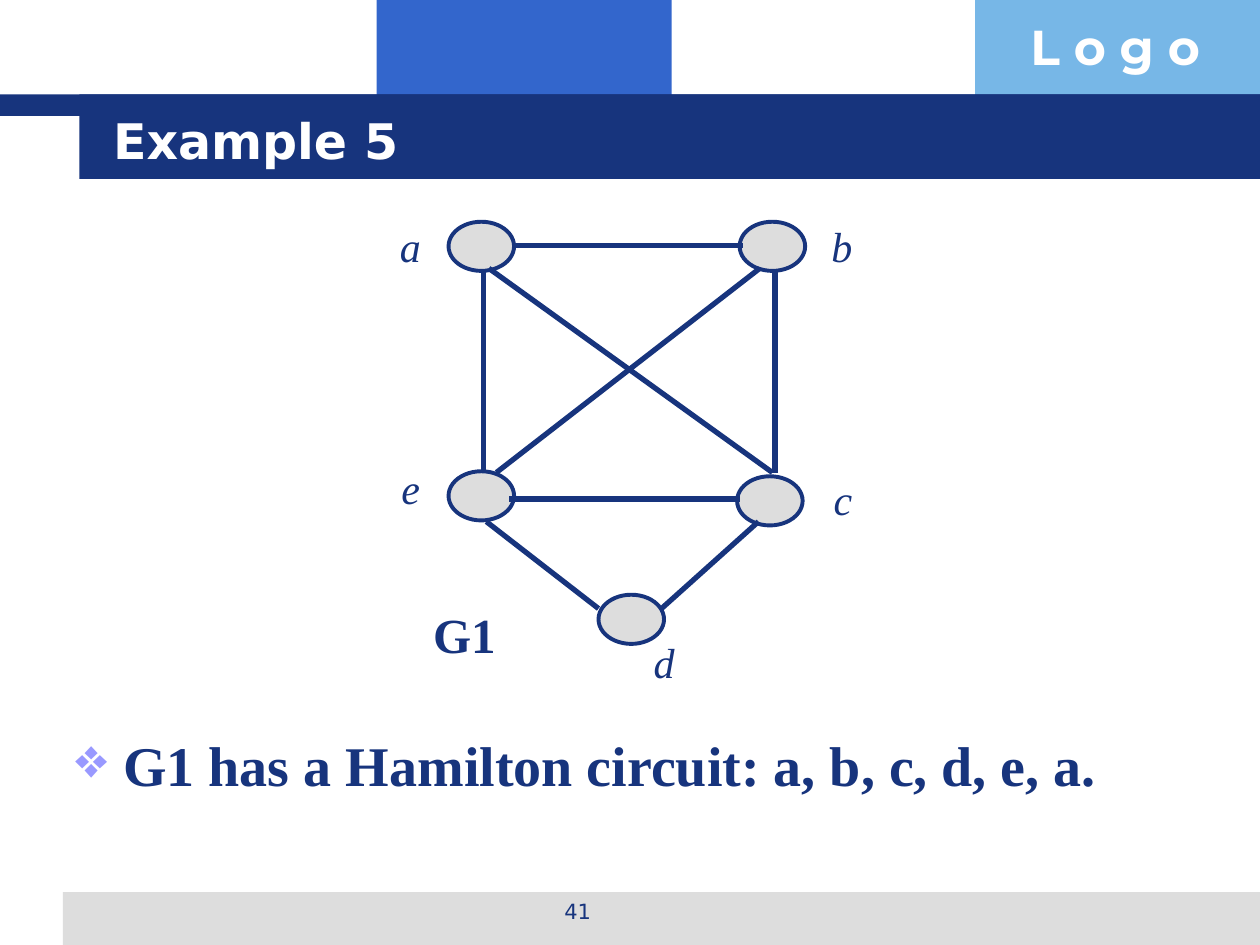
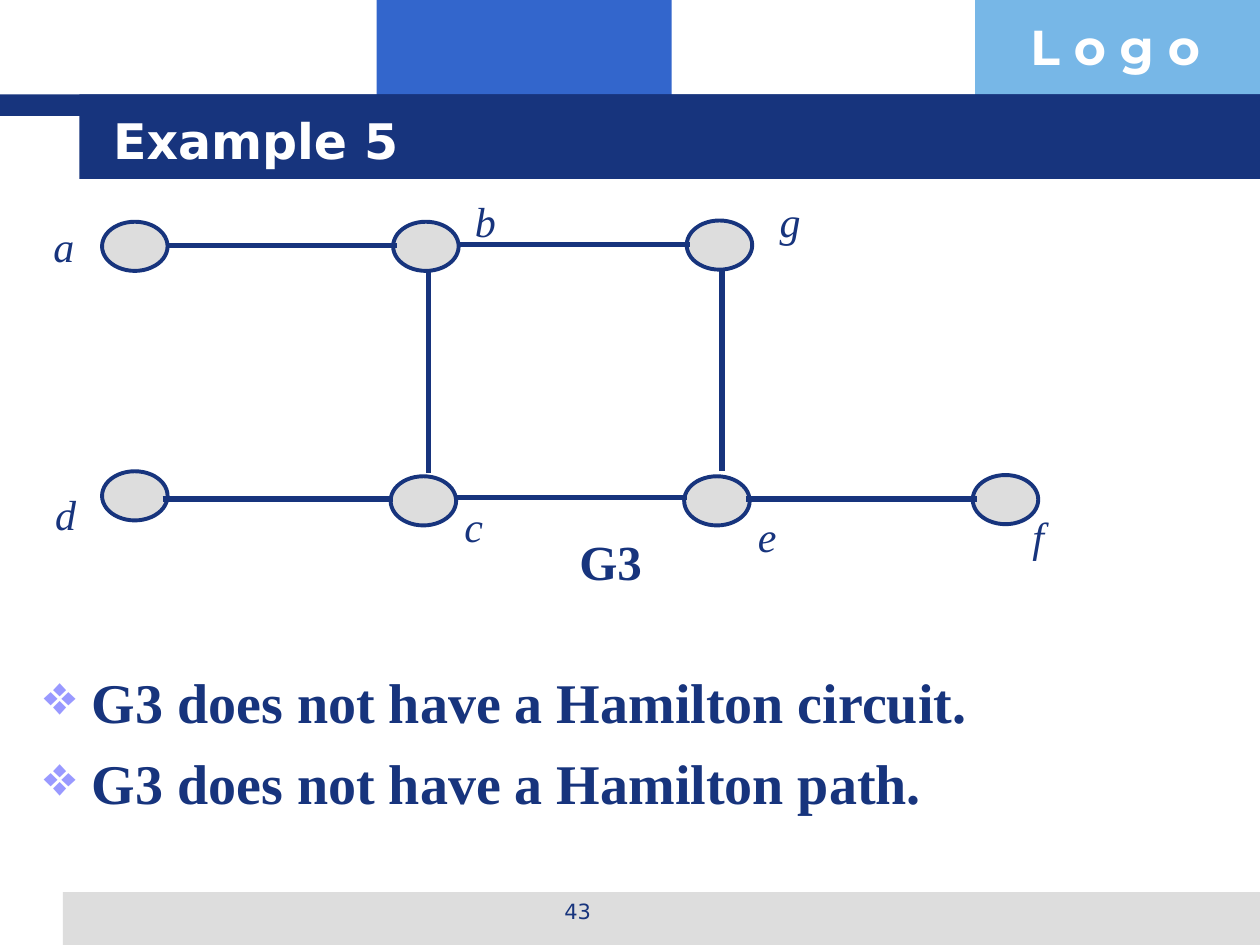
from lxml.etree import SubElement
from pptx import Presentation
from pptx.dml.color import RGBColor
from pptx.enum.shapes import MSO_CONNECTOR, MSO_SHAPE
from pptx.enum.text import MSO_ANCHOR, PP_ALIGN
from pptx.oxml.ns import qn
from pptx.util import Inches, Pt

# Grid: 100 columns by 75 rows, lengths below are counted in cells
COLS, ROWS = 100, 75
WIDTH, HEIGHT = Inches(10), Inches(7.5)

NAVY = RGBColor(0x17, 0x34, 0x7D)
BLUE = RGBColor(0x33, 0x66, 0xCC)
SKY = RGBColor(0x77, 0xB7, 0xE7)
GREY = RGBColor(0xDD, 0xDD, 0xDD)
LILAC = RGBColor(0x99, 0x99, 0xFF)
WHITE = RGBColor(0xFF, 0xFF, 0xFF)

SANS, SERIF, LOGO_FONT = "DejaVu Sans", "Times New Roman", "Montserrat"

NODE_W, NODE_H = 5.2, 3.9
LABEL_W, LABEL_H = 3.6, 5
ACROSS, DOWN = 18.3, 16  # lengths of horizontal and vertical edges

# Rectangles behind every slide: left, top, width, height, colour
BANDS = [
    (29.9, 0, 23.4, 9.2, BLUE),
    (77.4, 0, 22.6, 9.2, SKY),
    (5, 70.8, 95, 4.2, GREY),
    (0, 7.5, 100, 1.7, NAVY),
    (6.3, 7.5, 93.7, 6.7, NAVY),
]


def col(n):
    return round(WIDTH * n / COLS)


def row(n):
    return round(HEIGHT * n / ROWS)


def add_bullet(p, char="❖", indent=3.8):
    pPr = p._p.get_or_add_pPr()
    pPr.set("marL", str(col(indent)))
    pPr.set("indent", str(-col(indent)))
    clr = SubElement(pPr, qn("a:buClr"))
    SubElement(clr, qn("a:srgbClr"), val=str(LILAC))
    SubElement(pPr, qn("a:buChar"), char=char)


def write(tf, *lines, size, font=SERIF, color=NAVY, bold=False, italic=False,
          align=PP_ALIGN.LEFT, anchor=MSO_ANCHOR.TOP, wrap=True,
          bullet=False, gap=0):
    """Put one paragraph per line into a text frame."""
    tf.word_wrap = wrap
    tf.vertical_anchor = anchor
    for i, line in enumerate(lines):
        p = tf.add_paragraph() if i else tf.paragraphs[0]
        if bullet:
            add_bullet(p)
        p.alignment = align
        if i and gap:
            p.space_before = Pt(gap)
        r = p.add_run()
        r.text = line
        f = r.font
        f.name, f.size, f.bold, f.italic = font, Pt(size), bold, italic
        f.color.rgb = color


class GraphSlide:
    """Style of the deck together with the slide being filled."""

    def __init__(self, prs, title, number):
        self.s = prs.slides.add_slide(prs.slide_layouts[6])
        for *box, color in BANDS:
            self.shape(MSO_SHAPE.RECTANGLE, *box, color)
        self.text(80.8, 0.8, 19.2, 5.7, "L o g o", size=28, font=LOGO_FONT,
                  color=WHITE, bold=True)
        self.text(34.2, 70.8, 23.3, 3.5, str(number), size=12, font=SANS,
                  align=PP_ALIGN.CENTER)
        self.text(8, 8, 85.3, 6.2, title, size=28, font=SANS, color=WHITE,
                  bold=True, anchor=MSO_ANCHOR.MIDDLE)

    def shape(self, kind, x, y, w, h, fill, line=None, weight=2.25):
        sp = self.s.shapes.add_shape(kind, col(x), row(y), col(w), row(h))
        sp.shadow.inherit = False
        sp.fill.solid()
        sp.fill.fore_color.rgb = fill
        if line is None:
            sp.line.fill.background()
        else:
            sp.line.color.rgb = line
            sp.line.width = Pt(weight)

    def text(self, x, y, w, h, *lines, **style):
        sp = self.s.shapes.add_textbox(col(x), row(y), col(w), row(h))
        write(sp.text_frame, *lines, **style)

    def edge(self, x1, y1, x2, y2):
        ln = self.s.shapes.add_connector(
            MSO_CONNECTOR.STRAIGHT, col(x1), row(y1), col(x2), row(y2))
        ln.line.color.rgb = NAVY
        ln.line.width = Pt(3)
        SubElement(ln._element.spPr, qn("a:effectLst"))

    def graph(self, nodes, down, across, slanted=()):
        """Draw upright edges, then nodes with labels, then other edges."""
        for x, y in down:
            self.edge(x, y, x, y + DOWN)
        for name, (x, y, label_x, label_y) in nodes.items():
            self.shape(MSO_SHAPE.OVAL, x, y, NODE_W, NODE_H, GREY, NAVY)
            self.text(label_x, label_y, LABEL_W, LABEL_H, name, size=24,
                      italic=True, align=PP_ALIGN.CENTER,
                      anchor=MSO_ANCHOR.MIDDLE, wrap=False)
        for x, y in across:
            self.edge(x, y, x + ACROSS, y)
        for ends in slanted:
            self.edge(*ends)

    def caption(self, x, y, name):
        self.text(x, y, 8.3, 5.7, name, size=28, bold=True)

    def findings(self, x, y, *lines):
        self.text(x, y, 90, 13.3, *lines, size=32, bold=True, bullet=True,
                  gap=8)


def slide_g1(prs):
    g = GraphSlide(prs, "Example 5", 41)
    g.graph(
        # name: node left, node top, label left, label top
        nodes={
            "a": (35.6, 17.6, 30.75, 17),
            "b": (58.7, 17.6, 65, 17),
            "c": (58.5, 37.8, 65.1, 37.1),
            "d": (47.5, 47.2, 50.9, 50),
            "e": (35.6, 37.4, 30.8, 36.2),
        },
        down=[(38.4, 21.4), (61.5, 21.5)],
        across=[(40.7, 19.5), (40.4, 39.6)],
        slanted=[
            (61.3, 37.5, 38.8, 21.3),
            (39.4, 37.5, 60.3, 21.3),
            (47.5, 48.3, 38.6, 41.4),
            (52.5, 48.3, 60.2, 41.4),
        ],
    )
    g.caption(33.4, 47.5, "G1")
    g.findings(5, 57.5, "G1 has a Hamilton circuit: a, b, c, d, e, a.")


def slide_g3(prs):
    g = GraphSlide(prs, "Example 5", 43)
    g.graph(
        nodes={
            "a": (8.1, 17.6, 3.25, 17),
            "b": (31.2, 17.6, 36.7, 15),
            "g": (54.5, 17.5, 60.9, 15),
            "d": (8.1, 37.4, 3.4, 38.3),
            "c": (31, 37.8, 35.8, 39.2),
            "e": (54.3, 37.8, 59.1, 40),
            "f": (77.2, 37.7, 80.6, 40),
        },
        down=[(34, 21.5), (57.3, 21.4)],
        across=[(13.2, 19.5), (36.5, 19.4),
                (12.9, 39.6), (36.2, 39.5), (59.2, 39.6)],
    )
    g.caption(45, 41.7, "G3")
    g.findings(2.5, 52.5, "G3 does not have a Hamilton circuit.",
               "G3 does not have a Hamilton path.")


def main():
    prs = Presentation()
    prs.slide_width, prs.slide_height = WIDTH, HEIGHT
    slide_g1(prs)
    slide_g3(prs)
    prs.save("out.pptx")


if __name__ == "__main__":
    main()
